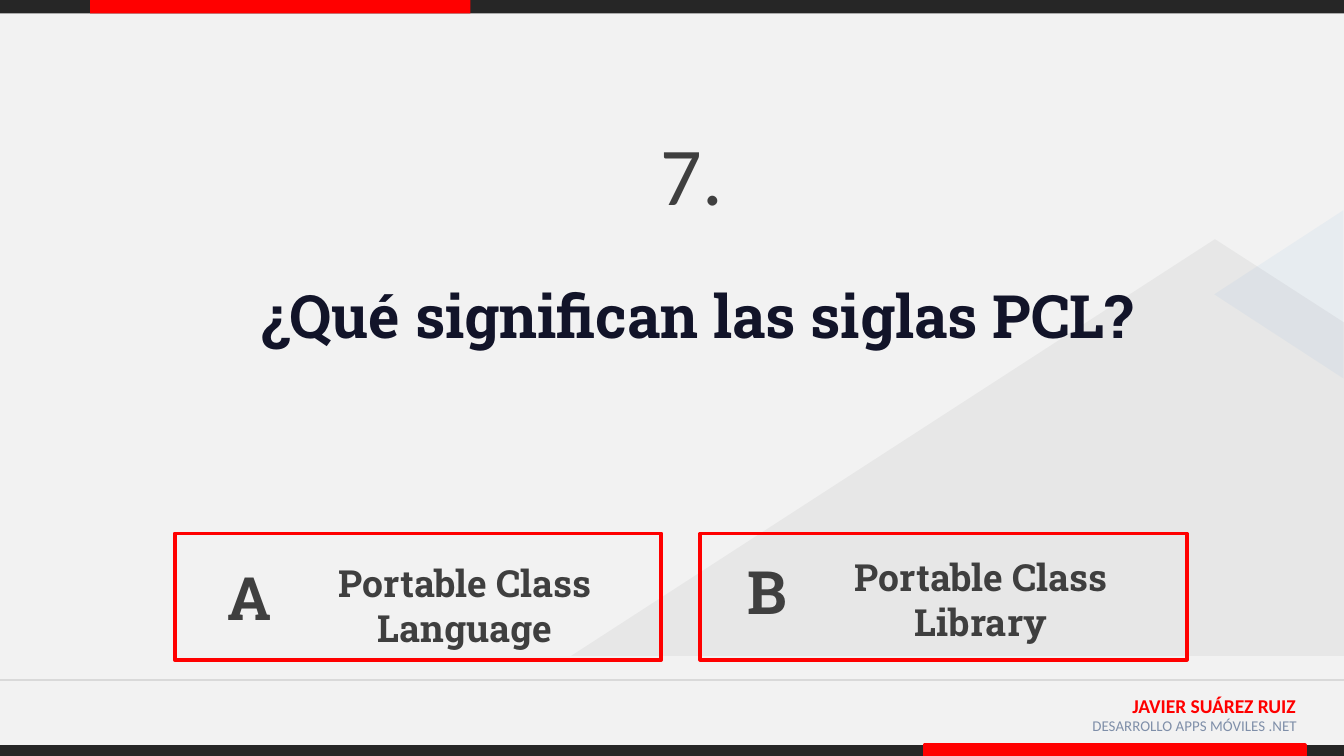
from lxml.etree import SubElement
from pptx import Presentation
from pptx.dml.color import RGBColor
from pptx.enum.shapes import MSO_CONNECTOR, MSO_SHAPE
from pptx.enum.text import MSO_ANCHOR, PP_ALIGN
from pptx.oxml.ns import qn
from pptx.util import Pt

SCALE = 4572
COLORS = {
    "paper": "F2F2F2", "bar": "262626", "accent": "FF0000", "rule": "D9D9D9",
    "blue": "297FD5", "title": "121429", "text": "3F3F3F", "muted": "7F8FA9",
}
ANSWERS = [
    {"left": 260, "letter": ("A", 32, 31), "label": ("Portable Class Language", 171, 30, 522)},
    {"left": 1042, "letter": ("B", 20, 22), "label": ("Portable Class Library", 138, 21, 560)},
]


def px(*lengths):
    """Turn px lengths into EMU."""
    return [length * SCALE for length in lengths]


def color(name):
    """Return a palette colour."""
    return RGBColor.from_string(COLORS[name])


def paint(shape, fill=None, line=None, alpha=None):
    """Set the fill, outline and opacity of a shape."""
    shape.shadow.inherit = False
    if fill:
        shape.fill.solid()
        shape.fill.fore_color.rgb = color(fill)
    else:
        shape.fill.background()
    if line:
        shape.line.color.rgb = color(line)
        shape.line.width = Pt(2)
    else:
        shape.line.fill.background()
    if alpha:
        value = shape.fill._xPr.find(".//" + qn("a:srgbClr"))
        SubElement(value, qn("a:alpha"), val=str(alpha * 1000))


def add_block(page, box, fill=None, line=None):
    """Add a rectangle."""
    paint(page.shapes.add_shape(MSO_SHAPE.RECTANGLE, *px(*box)), fill, line)


def write(shape, text, size, font, ink, bold=False, align=PP_ALIGN.CENTER, anchor=MSO_ANCHOR.TOP):
    """Write one formatted paragraph into a shape."""
    frame = shape.text_frame
    frame.word_wrap = True
    frame.vertical_anchor = anchor
    para = frame.paragraphs[0]
    para.alignment = align
    para.line_spacing = 1.0
    para.space_before = Pt(0)
    span = para.add_run()
    span.text = text
    span.font.size = Pt(size)
    span.font.name = font
    span.font.bold = bold
    span.font.color.rgb = color(ink)


def add_text(page, box, *style, **options):
    """Add a text box with one paragraph."""
    write(page.shapes.add_textbox(*px(*box)), *style, **options)


def add_header(page, left, top, width, height):
    """Draw the top bar with its accent."""
    add_block(page, (left, top, width, height), "bar")
    add_block(page, (left + 134, top, 566, height), "accent")


def add_footer(page, left, top, width, height):
    """Draw the rule, the author lines and the bottom bar."""
    add_text(page, (left + 1586, top + 11, 362, 62), "JAVIER SUÁREZ RUIZ", 10.5, "Calibri",
             "accent", bold=True, align=PP_ALIGN.RIGHT)
    add_text(page, (left + 1544, top + 45, 406, 62), "DESARROLLO APPS MÓVILES .NET", 8, "Calibri",
             "muted", align=PP_ALIGN.RIGHT)
    bar_top = top + height - 16
    add_block(page, (left, bar_top, width, 16), "bar")
    add_block(page, (left + 1376, bar_top, 566, 16), "accent", "accent")
    rule = page.shapes.add_connector(MSO_CONNECTOR.STRAIGHT, *px(left, top, left + width, top))
    rule.line.color.rgb = color("rule")
    rule.line.width = Pt(0.75)
    SubElement(rule._element.spPr, qn("a:effectLst"))


def add_mountains(page, left, top, width, height):
    """Draw the translucent peaks behind the content."""
    right, bottom = left + width, top + height
    builder = page.shapes.build_freeform(right, bottom, scale=SCALE)
    builder.add_line_segments([(right, top + 124), (left + 958, top), (left, bottom)], close=True)
    paint(builder.convert_to_shape(), "bar", alpha=5)
    peak = page.shapes.add_shape(MSO_SHAPE.ISOSCELES_TRIANGLE, *px(left + 928, top - 14, 250, 192))
    peak.rotation = 270
    paint(peak, "blue", alpha=5)


def add_question(page, left, top, width, height):
    """Place the question in the title and its number above."""
    title = page.shapes.title
    title.left, title.top, title.width, title.height = px(left + 51, top + 242, 1716, 128)
    write(title, "¿Qué significan las siglas PCL?", 32, "Roboto Slab", "title", bold=True)
    page.shapes._spTree.append(title._element)
    add_text(page, (left, top, width, height), "7.", 44, "Calibri", "text",
             anchor=MSO_ANCHOR.MIDDLE)


def add_answer(page, left, top, width, height, letter, label):
    """Draw one framed answer with its letter and label."""
    add_block(page, (left, top, width, height), line="accent")
    text, x, y = letter
    add_text(page, (left + x, top + y, 160, 128), text, 32, "Roboto Slab", "text", bold=True)
    text, x, y, label_width = label
    add_text(page, (left + x, top + y, label_width, 154), text, 20, "Roboto Slab", "text", bold=True)


def main():
    """Build and save the quiz slide."""
    deck = Presentation()
    deck.slide_width, deck.slide_height = px(2000, 1125)
    page = deck.slides.add_slide(deck.slide_layouts[5])
    page.background.fill.solid()
    page.background.fill.fore_color.rgb = color("paper")
    add_header(page, 0, 0, 2000, 20)
    add_footer(page, 0, 1012, 2000, 113)
    add_mountains(page, 850, 356, 1150, 620)
    add_question(page, 130, 163, 1800, 188)
    for answer in ANSWERS:
        add_answer(page, answer["left"], 794, 724, 188, answer["letter"], answer["label"])
    deck.save("out.pptx")


if __name__ == "__main__":
    main()
